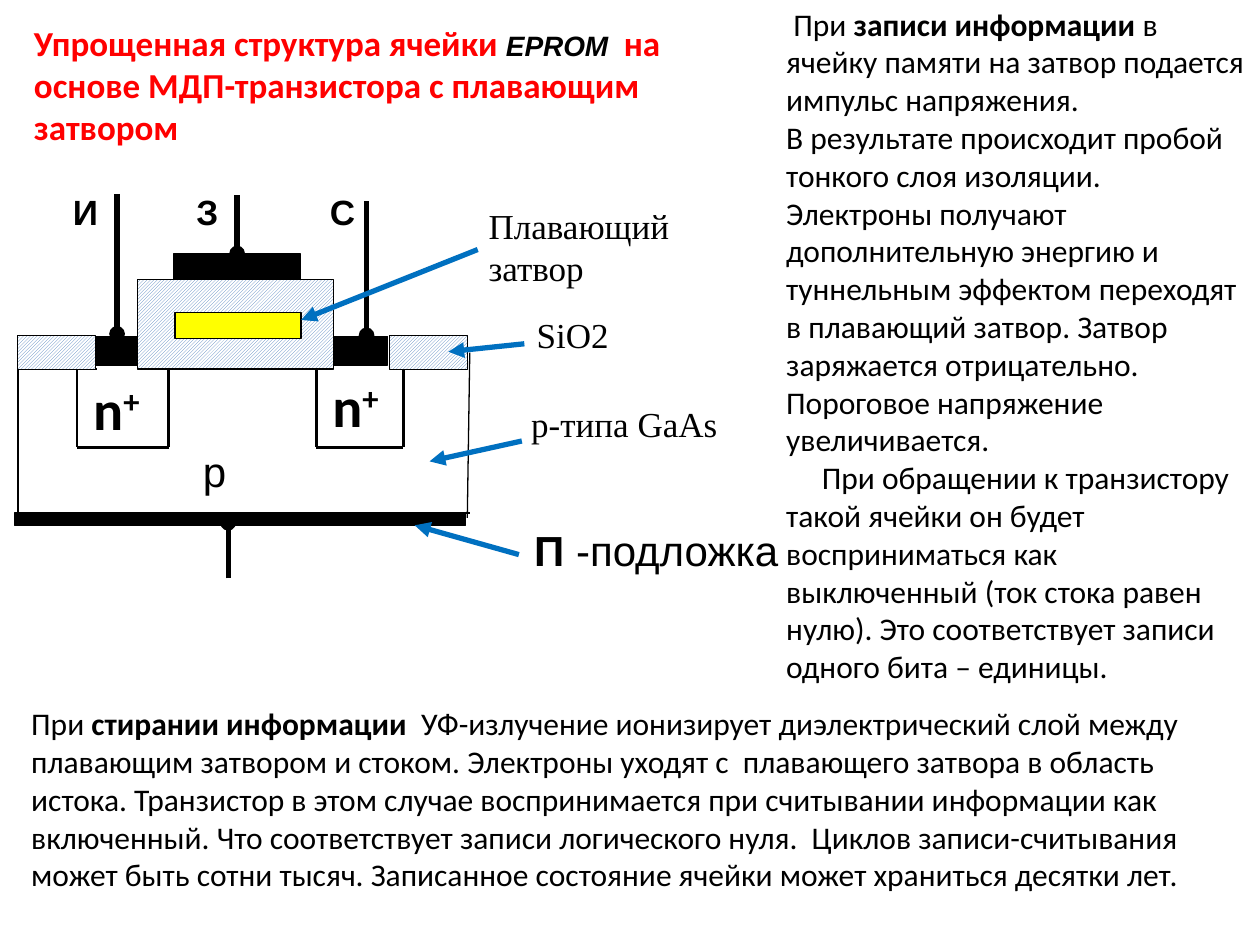
from dataclasses import dataclass, field

from lxml.etree import SubElement
from pptx import Presentation
from pptx.dml.color import RGBColor
from pptx.enum.dml import MSO_PATTERN as Pattern
from pptx.enum.shapes import MSO_CONNECTOR as Link, MSO_SHAPE as Shape
from pptx.enum.text import MSO_ANCHOR as Anchor, MSO_AUTO_SIZE as AutoSize, PP_ALIGN as Align
from pptx.oxml.ns import qn
from pptx.util import Cm, Pt

COLORS = {"black": "000000", "red": "FF0000", "blue": "0070C0",
          "yellow": "FFFF00", "hatch": "4F81BD", "white": "FFFFFF"}


@dataclass
class Run:
    text: str
    color: str = "black"
    fmt: dict = field(default_factory=dict)
    raised: bool = False


@dataclass
class Para:
    runs: list[Run]
    indent: float = 0


@dataclass
class Label:
    box: tuple
    paras: list[Para]
    wrap: bool = True
    anchor: Anchor = Anchor.TOP


@dataclass
class Block:
    box: tuple
    fill: str


@dataclass
class Line:
    start: tuple
    end: tuple
    width: float = 0.75
    color: str = "black"
    tail: str = ""


def rgb(name: str) -> RGBColor:
    return RGBColor.from_string(COLORS[name])


def style(font: str, size: int, bold: bool = False, italic: bool = False) -> dict:
    return {"name": font, "size": Pt(size), "bold": bold, "italic": italic}


def write(tf, paras: list[Para]) -> None:
    for i, para in enumerate(paras):
        p = tf.paragraphs[0] if i == 0 else tf.add_paragraph()
        p.alignment = Align.LEFT
        if para.indent:
            p._p.get_or_add_pPr().set("indent", str(Cm(para.indent)))
        for run in para.runs:
            for j, piece in enumerate(run.text.split("\n")):
                if j:
                    p.add_line_break()
                r = p.add_run()
                r.text = piece
                for name, value in run.fmt.items():
                    setattr(r.font, name, value)
                r.font.color.rgb = rgb(run.color)
                if run.raised:
                    r._r.get_or_add_rPr().set("baseline", "30000")


def add_label(slide, label: Label):
    tb = slide.shapes.add_textbox(*map(Cm, label.box))
    tf = tb.text_frame
    tf.word_wrap = label.wrap
    tf.vertical_anchor = label.anchor
    write(tf, label.paras)
    return tb


def add_block(slide, block: Block):
    sp = slide.shapes.add_shape(Shape.RECTANGLE, *map(Cm, block.box))
    sp.shadow.inherit = False
    if block.fill == "hatch":
        sp.fill.patterned()
        sp.fill.pattern = Pattern.LIGHT_UPWARD_DIAGONAL
        sp.fill.fore_color.rgb = rgb("hatch")
        sp.fill.back_color.rgb = rgb("white")
    else:
        sp.fill.solid()
        sp.fill.fore_color.rgb = rgb(block.fill)
    sp.line.color.rgb = rgb("black")
    sp.line.width = Pt(0.75)
    return sp


def add_line(slide, line: Line):
    cxn = slide.shapes.add_connector(Link.STRAIGHT, *map(Cm, line.start + line.end))
    cxn.line.color.rgb = rgb(line.color)
    cxn.line.width = Pt(line.width)
    if line.tail:
        SubElement(cxn.line._get_or_add_ln(), qn("a:tailEnd"), type=line.tail)
    SubElement(cxn._element.spPr, qn("a:effectLst"))
    return cxn


TITLE = style("Calibri", 20, bold=True)
BODY = style("Calibri", 18)
BODY_BOLD = style("Calibri", 18, bold=True)
TERMINAL = style("Arial", 20, bold=True)
REGION = style("Arial", 24)
SERIF = style("Times New Roman", 20)
DOPING = style("Calibri", 32, bold=True)

title_runs = [
    Run("Упрощенная структура ячейки ", "red", TITLE),
    Run("EPROM  ", "black", style("Arial", 16, bold=True, italic=True)),
    Run("на основе МДП-транзистора с плавающим затвором", "red", TITLE),
]

OXIDE_TOP, WELL_TOP, WELL_BOTTOM, BASE = 6.76, 7.44, 9.02, 10.34
wells = [(1.55, 3.4), (6.38, 8.13)]
outline = [
    Line((0.38, BASE), (9.47, BASE)),
    Line((0.43, WELL_TOP), (1.96, WELL_TOP)),
    Line((9.47, 7.11), (9.42, 10.44)),
    Line((0.36, 7.24), (0.36, 10.52)),
]
for left, right in wells:
    corners = [(left, WELL_TOP), (left, WELL_BOTTOM), (right, WELL_BOTTOM), (right, WELL_TOP)]
    outline += [Line(a, b, 1.5) for a, b in zip(corners, corners[1:])]

blocks = [
    Block((1.57, 6.78, 1.22, 0.58), "black"),
    Block((6.65, 6.78, 1.17, 0.58), "black"),
    Block((7.85, OXIDE_TOP, 1.57, 0.69), "hatch"),
    Block((0.36, OXIDE_TOP, 1.57, 0.69), "hatch"),
    Block((2.77, 5.64, 3.96, 1.8), "hatch"),
    Block((0.3, BASE, 9.09, 0.25), "black"),
    Block((3.53, 6.3, 2.54, 0.53), "yellow"),
]
gate = Block((3.51, 5.11, 2.54, 0.53), "black")
gate_lead = Line((4.78, 3.94), (4.78, 5.11), 3, tail="oval")
leads = [Line(a, b, 3, tail="oval") for a, b in [
    ((2.36, 3.91), (2.36, 6.73)),
    ((7.39, 4.06), (7.39, 6.76)),
    ((4.6, 11.66), (4.6, 10.54)),
]]
arrows = [Line(a, b, 3, "blue", "triangle") for a, b in [
    ((9.63, 5.03), (6.07, 6.45)),
    ((10.57, 6.93), (9.04, 7.09)),
    ((10.52, 8.89), (8.66, 9.3)),
    ((10.46, 11.18), (8.36, 10.59)),
]]

labels = [Label((x, 3.71, 1.27, 1.09), [Para([Run(name, fmt=TERMINAL)])])
          for x, name in [(1.22, "И"), (3.71, "З"), (6.4, "С")]]
labels += [Label((x, y, 1.5, 1.63),
                 [Para([Run("n", fmt=DOPING), Run("+", fmt=DOPING, raised=True)])], wrap=False)
           for x, y in [(1.63, 7.42), (6.45, 7.37)]]
labels += [
    Label((10.57, 6.2, 3.07, 1.12), [Para([Run("SiO2", fmt=SERIF)])]),
    Label((3.84, 8.86, 2.06, 1.27), [Para([Run("p", fmt=REGION)])]),
    Label((10.46, 7.98, 6.35, 1.12), [Para([Run("p-типа GaAs", fmt=SERIF)])]),
    Label((10.52, 10.44, 5.61, 1.27), [Para([
        Run("П", fmt=style("Arial", 24, bold=True)), Run(" -подложка", fmt=REGION)])]),
    Label((9.6, 3.99, 4.19, 1.96),
          [Para([Run(word, fmt=SERIF)]) for word in ("Плавающий", "затвор")],
          wrap=False, anchor=Anchor.MIDDLE),
    Label((15.6, -0.03, 9.8, 14.1), [
        Para([
            Run(" При ", fmt=BODY),
            Run("записи информации ", fmt=BODY_BOLD),
            Run("в ячейку памяти на затвор подается импульс напряжения. \n"
                "В результате происходит пробой тонкого слоя изоляции. Электроны получают "
                "дополнительную энергию и туннельным эффектом переходят в плавающий затвор. "
                "Затвор заряжается отрицательно. Пороговое напряжение увеличивается.", fmt=BODY),
        ]),
        Para([Run("При обращении к транзистору такой ячейки он будет восприниматься как "
                  "выключенный (ток стока равен нулю). Это соответствует записи одного бита "
                  "– единицы.", fmt=BODY)], indent=0.72),
    ]),
    Label((0.38, 14.07, 24.71, 4.11), [Para([
        Run("При ", fmt=BODY),
        Run("стирании информации  ", fmt=BODY_BOLD),
        Run("УФ-излучение ионизирует диэлектрический слой между плавающим затвором и стоком. "
            "Электроны уходят с  плавающего затвора в область истока. Транзистор в этом случае "
            "воспринимается при считывании информации как включенный. Что соответствует записи "
            "логического нуля.  Циклов записи-считывания может быть сотни тысяч. Записанное "
            "состояние ячейки может храниться десятки лет.", fmt=BODY),
    ])]),
]


def main() -> None:
    prs = Presentation()
    prs.slide_width, prs.slide_height = Cm(25.4), Cm(19.05)
    s = prs.slides.add_slide(prs.slide_layouts[5])

    title = s.shapes.title
    title.left, title.top, title.width, title.height = map(Cm, (0.43, 0.3, 15.16, 2.82))
    tf = title.text_frame
    tf.auto_size = AutoSize.NONE
    tf.vertical_anchor = Anchor.MIDDLE
    write(tf, [Para(title_runs)])

    for line in outline:
        add_line(s, line)
    for block in blocks:
        add_block(s, block)
    gate_sp = add_block(s, gate)
    add_line(s, gate_lead).end_connect(gate_sp, 0)
    for line in leads + arrows:
        add_line(s, line)
    for label in labels:
        add_label(s, label)

    prs.save("out.pptx")


if __name__ == "__main__":
    main()
